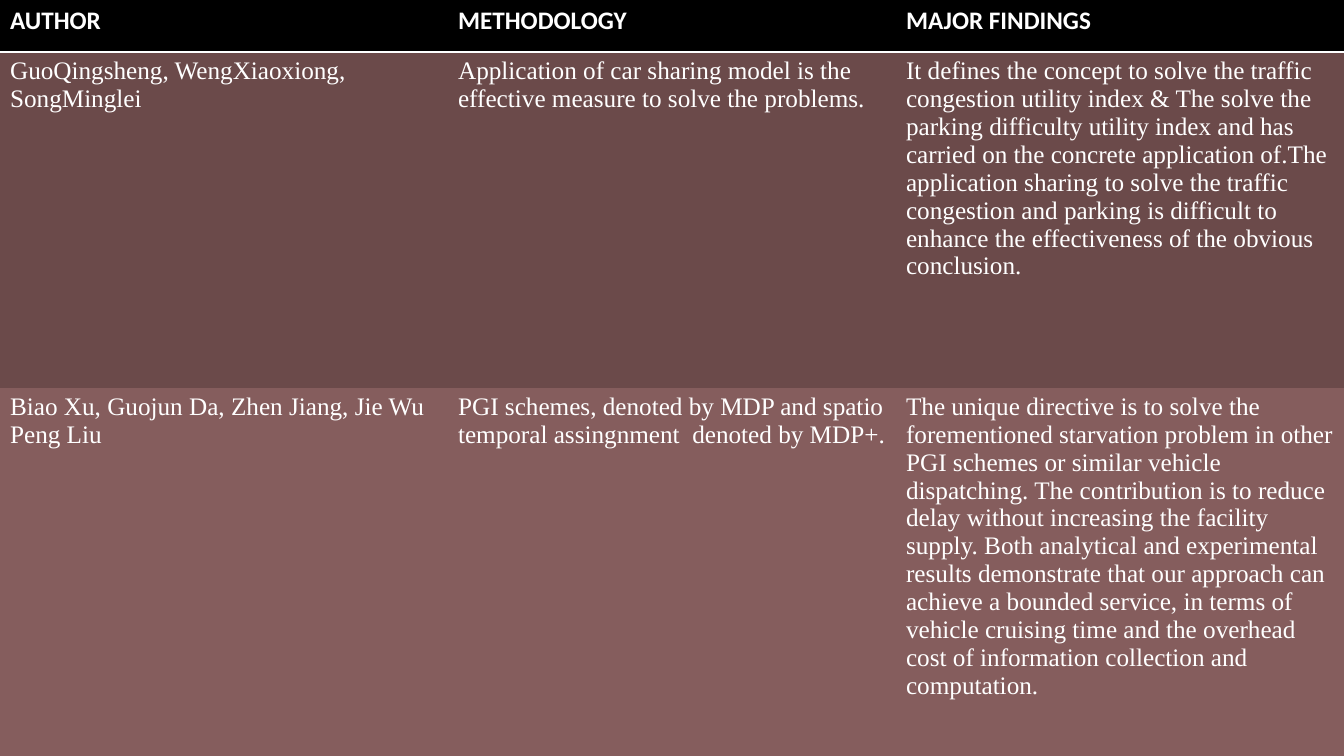
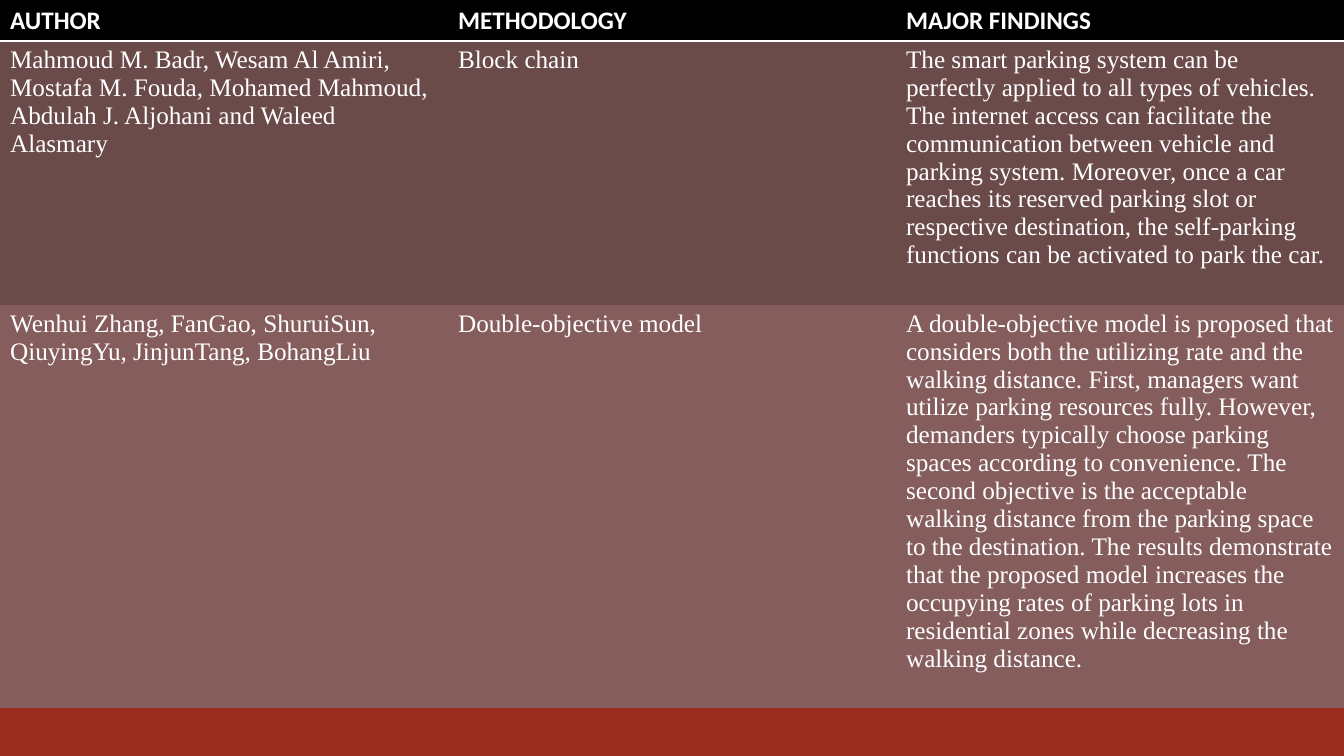
from dataclasses import dataclass

from lxml import etree
from pptx import Presentation
from pptx.dml.color import RGBColor
from pptx.enum.shapes import MSO_SHAPE as Shape
from pptx.oxml import parse_xml
from pptx.oxml.ns import nsdecls, qn
from pptx.util import Inches, Pt

WIDTH, HEIGHT = Inches(13.33), Inches(7.5)
WHITE, BLACK = "FFFFFF", "000000"
ROW_FILLS = (BLACK, "6B4A4A", "855D5D")
HEADINGS = ("AUTHOR", "METHODOLOGY", "MAJOR FINDINGS")
HEADING_FONT, BODY_FONT = "Calibri", "Times New Roman"
PLAIN_TABLE_STYLE = "{2D5ABB26-0587-4C30-8999-92F81FD0307C}"


@dataclass(frozen=True)
class Band:
    """A full-width stripe; top and height are percentages of the slide."""
    top: float
    height: float
    color: str


@dataclass(frozen=True)
class Paper:
    author: str
    methodology: str
    findings: str

    def columns(self) -> tuple[str, str, str]:
        return self.author, self.methodology, self.findings


@dataclass(frozen=True)
class Review:
    """One slide of papers; row heights are percentages of the slide."""
    row_shares: tuple[float, ...]
    papers: tuple[Paper, ...]


FOOTER_BANDS = (Band(93.33, 6.67, "9B2D1F"), Band(92.4, 0.93, "D34817"))

REVIEWS = (
    Review((6.9, 44.4, 48.7), (
        Paper(
            "GuoQingsheng, WengXiaoxiong, SongMinglei",
            "Application of car sharing model is the effective measure to solve the problems.",
            "It defines the concept to solve the traffic congestion utility index & The solve "
            "the parking difficulty utility index and has carried on the concrete application "
            "of.The application sharing to solve the traffic congestion and parking is "
            "difficult to enhance the effectiveness of the obvious conclusion.",
        ),
        Paper(
            "Biao Xu, Guojun Da, Zhen Jiang, Jie Wu Peng Liu",
            "PGI schemes, denoted by MDP and spatio temporal assingnment  denoted by MDP+.",
            "The unique directive is to solve the forementioned starvation problem in other "
            "PGI schemes or similar vehicle dispatching. The contribution is to reduce delay "
            "without increasing the facility supply. Both analytical and experimental results "
            "demonstrate that our approach can achieve a bounded service, in terms of vehicle "
            "cruising time and the overhead cost of information collection and computation.",
        ),
    )),
    Review((5.4, 34.9, 53.4), (
        Paper(
            "Mahmoud M. Badr, Wesam Al Amiri, Mostafa M. Fouda, Mohamed Mahmoud, "
            "Abdulah J. Aljohani and Waleed Alasmary",
            "Block chain",
            "The smart parking system can be perfectly applied to all types of vehicles. The "
            "internet access can facilitate the communication between vehicle and parking "
            "system. Moreover, once a car reaches its reserved parking slot or respective "
            "destination, the self-parking functions can be activated to park the car.",
        ),
        Paper(
            "Wenhui Zhang, FanGao, ShuruiSun, QiuyingYu, JinjunTang, BohangLiu",
            "Double-objective model",
            "A double-objective model is proposed that considers both the utilizing rate and "
            "the walking distance. First, managers want utilize parking resources fully. "
            "However, demanders typically choose parking spaces according to convenience. The "
            "second objective is the acceptable walking distance from the parking space to the "
            "destination. The results demonstrate that the proposed model increases the "
            "occupying rates of parking lots in residential zones while decreasing the walking "
            "distance.",
        ),
    )),
)


def down(percent: float) -> int:
    """Turn a percentage of the slide height into a length."""
    return round(HEIGHT * percent / 100)


def paint(fill, color: str) -> None:
    fill.solid()
    fill.fore_color.rgb = RGBColor.from_string(color)


def write(frame, text: str, *, font: str, size: float = 18,
          color: str = WHITE, bold: bool = False) -> None:
    run = frame.paragraphs[0].add_run()
    run.text = text
    run.font.name, run.font.size, run.font.bold = font, Pt(size), bold
    paint(run.font.fill, color)


def underline_cell(cell, color: str, points: float) -> None:
    """Give a table cell a bottom border."""
    border = parse_xml(f'<a:lnB {nsdecls("a")} w="{Pt(points)}"/>')
    solid = etree.SubElement(border, qn("a:solidFill"))
    etree.SubElement(solid, qn("a:srgbClr"), val=color)
    cell.fill.solid()
    cell._tc.get_or_add_tcPr().insert(0, border)


def add_master_bands(slide, master) -> None:
    """Draw the footer bands and move them to the master, for all slides."""
    for number, band in enumerate(FOOTER_BANDS, start=101):
        stripe = slide.shapes.add_shape(
            Shape.RECTANGLE, 0, down(band.top), WIDTH, down(band.height))
        stripe.shadow.inherit = False
        stripe.line.fill.background()
        paint(stripe.fill, band.color)
        stripe.element.xpath("./p:nvSpPr/p:cNvPr")[0].set("id", str(number))
        master.shapes.element.append(stripe.element)


def add_review_table(slide, review: Review) -> None:
    rows = (HEADINGS, *(paper.columns() for paper in review.papers))
    graphic = slide.shapes.add_table(
        len(rows), len(HEADINGS), 0, 0, WIDTH, down(sum(review.row_shares)))
    table = graphic.table
    table.horz_banding = False
    graphic.element.find(f".//{qn('a:tableStyleId')}").text = PLAIN_TABLE_STYLE
    for column in table.columns:
        column.width = round(WIDTH / len(HEADINGS))

    for index, (texts, share, fill) in enumerate(zip(rows, review.row_shares, ROW_FILLS)):
        heading = index == 0
        table.rows[index].height = down(share)
        for cell, text in zip(table.rows[index].cells, texts):
            write(cell.text_frame, text, bold=heading,
                  font=HEADING_FONT if heading else BODY_FONT)
            if heading:
                underline_cell(cell, WHITE, 2)
            paint(cell.fill, fill)


def main() -> None:
    deck = Presentation()
    deck.slide_width, deck.slide_height = WIDTH, HEIGHT
    blank = deck.slide_layouts[6]
    slides = [deck.slides.add_slide(blank) for _ in REVIEWS]
    add_master_bands(slides[0], deck.slide_master)
    for slide, review in zip(slides, REVIEWS):
        add_review_table(slide, review)
    deck.save("out.pptx")


if __name__ == "__main__":
    main()
